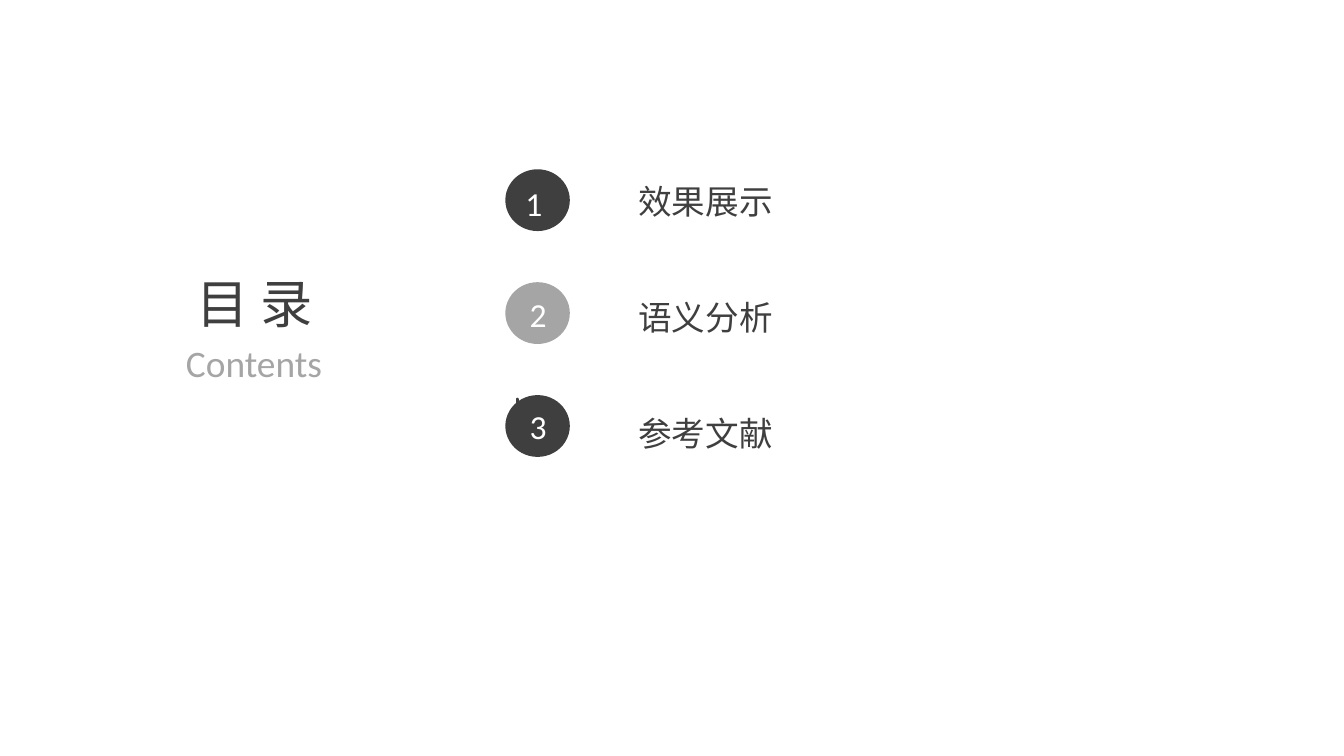
from lxml.etree import SubElement
from pptx import Presentation
from pptx.dml.color import RGBColor
from pptx.enum.shapes import MSO_SHAPE as Preset
from pptx.enum.text import MSO_ANCHOR as Anchor, PP_ALIGN as Align
from pptx.oxml.ns import qn
from pptx.util import Inches, Pt

COLORS = {"dark": "3F3F3F", "gray": "A5A5A5", "white": "FFFFFF"}
LATIN, CJK = "Calibri", "Noto Sans CJK SC"

# number, left edge of the number, disc color, label
ENTRIES = [
    ("1", 3.91, "dark", "效果展示"),
    ("2", 3.94, "gray", "语义分析"),
    ("3", 3.94, "dark", "参考文献"),
]
DISC_TOP, DISC_STEP = 1.26, 0.84
NUMBER_TOP, NUMBER_STEP = 1.36, 0.83
LABEL_TOP, LABEL_STEP = 1.31, 0.86


def add_text(page, text, left, top, width, height, *, size=18, font=LATIN,
             color="dark", align=Align.LEFT, anchor=Anchor.TOP,
             insets=(0.07, 0.04)):
    box = page.shapes.add_textbox(*map(Inches, (left, top, width, height)))
    frame = box.text_frame
    frame.word_wrap = True
    frame.vertical_anchor = anchor
    frame.margin_left = frame.margin_right = Inches(insets[0])
    frame.margin_top = frame.margin_bottom = Inches(insets[1])
    para = frame.paragraphs[0]
    para.alignment = align
    span = para.add_run()
    span.text = text
    span.font.size = Pt(size)
    span.font.name = font
    span.font.color.rgb = RGBColor.from_string(COLORS[color])
    east_asian = SubElement(span.font._element, qn("a:ea"))
    east_asian.set("typeface", CJK)


def add_filled(page, preset, left, top, width, height, color):
    shape = page.shapes.add_shape(
        preset, *map(Inches, (left, top, width, height)))
    shape.shadow.inherit = False
    shape.fill.solid()
    shape.fill.fore_color.rgb = RGBColor.from_string(COLORS[color])
    shape.line.fill.background()
    return shape


def main():
    deck = Presentation()
    deck.slide_width = Inches(10)
    deck.slide_height = deck.slide_width * 9 // 16
    page = deck.slides.add_slide(deck.slide_layouts[6])

    add_text(page, "目 录", 1.39, 2.01, 1.3, 0.49, size=28,
             anchor=Anchor.MIDDLE)
    add_text(page, "Contents", 1.02, 2.49, 1.74, 0.41, size=20, color="gray",
             align=Align.CENTER)

    for row, (number, number_left, color, label) in enumerate(ENTRIES):
        add_filled(page, Preset.OVAL, 3.76, DISC_TOP + row * DISC_STEP,
                   0.48, 0.46, color)
        add_text(page, number, number_left, NUMBER_TOP + row * NUMBER_STEP,
                 0.2, 0.3, color="white", insets=(0, 0))
        add_text(page, label, 4.68, LABEL_TOP + row * LABEL_STEP, 2.6, 0.38,
                 font=CJK)

    # Small tick at the upper left edge of the last disc
    tick = add_filled(page, Preset.ROUNDED_RECTANGLE, 3.84, 2.96, 0.02, 0.2,
                      "dark")
    tick.adjustments[0] = 0.5

    deck.save("out.pptx")


if __name__ == "__main__":
    main()
